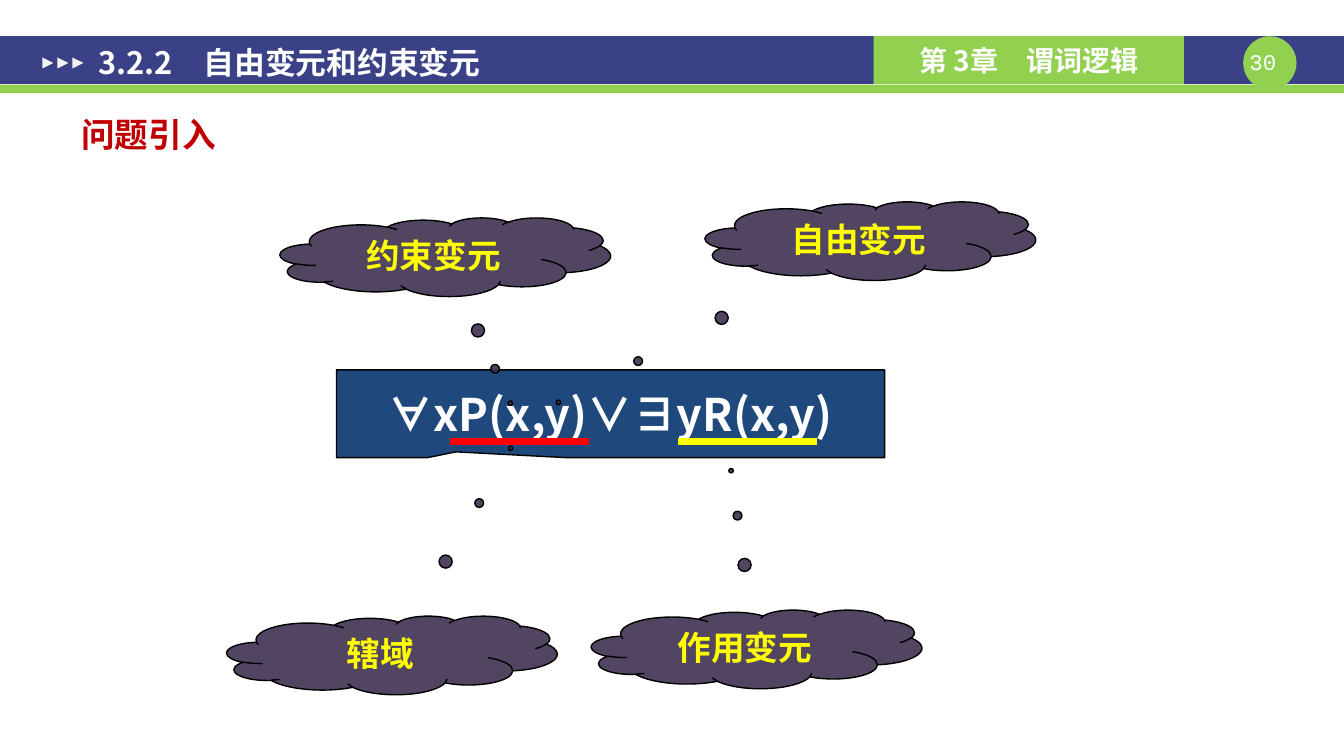
from dataclasses import dataclass
from typing import Any

from lxml.etree import SubElement
from pptx import Presentation
from pptx.dml.color import RGBColor
from pptx.enum.shapes import MSO_CONNECTOR, MSO_SHAPE
from pptx.enum.text import MSO_ANCHOR, PP_ALIGN
from pptx.oxml.ns import qn
from pptx.util import Inches, Pt

WIDE, HIGH = Inches(13.34), Inches(7.5)


@dataclass(frozen=True)
class Theme:
    navy: str = "3A4187"
    green: str = "92D050"
    blue: str = "1F497D"
    plum: str = "403152"
    yellow: str = "FFFF00"
    red: str = "FF0000"
    crimson: str = "C00000"
    white: str = "FFFFFF"
    pale: str = "F2F2F2"
    black: str = "000000"
    sans: str = "Noto Sans CJK SC"
    latin: str = "Arial"
    mono: str = "Courier New"
    page: int = 16
    label: int = 20
    title: int = 22
    body: int = 24
    logic: int = 32


@dataclass(frozen=True)
class Box:
    """A place in percent of the slide's width and height."""
    x: float
    y: float
    w: float
    h: float

    def frame(self) -> tuple[int, int, int, int]:
        return (int(WIDE * self.x / 100), int(HIGH * self.y / 100),
                int(WIDE * self.w / 100), int(HIGH * self.h / 100))


@dataclass(frozen=True)
class Cloud:
    """A thought cloud; the tail is its tip relative to the cloud's centre."""
    text: str
    x: float
    y: float
    tail: tuple[float, float]


@dataclass(frozen=True)
class Mark:
    x: float
    color: str


THEME = Theme()
BAND_TOP, BAND_HIGH = 4.8, 6.3
CLOUD_WIDE, CLOUD_HIGH = 24.59, 10.4
MARK_TOP, MARK_WIDE = 58.4, 10.34
CLOUDS = [
    Cloud("自由变元", 52.47, 26.67, (-0.944, 2.053)),
    Cloud("作用变元", 44, 80.67, (-0.077, -2.271)),
    Cloud("约束变元", 20.84, 28.8, (0.197, 1.859)),
    Cloud("辖域", 16.87, 81.47, (0.359, -2.632)),
]
MARKS = [Mark(33.51, THEME.red), Mark(50.45, THEME.yellow)]


def paint(color: str) -> RGBColor:
    return RGBColor.from_string(color)


def write(shape: Any, text: str, *, size: int, color: str = THEME.white,
          font: str = THEME.sans, bold: bool = True,
          align: PP_ALIGN = PP_ALIGN.CENTER,
          anchor: MSO_ANCHOR = MSO_ANCHOR.MIDDLE, wrap: bool = True,
          inset: tuple[float, float] = (0.1, 0.05)) -> None:
    frame = shape.text_frame
    frame.word_wrap = wrap
    frame.vertical_anchor = anchor
    frame.margin_left = frame.margin_right = Inches(inset[0])
    frame.margin_top = frame.margin_bottom = Inches(inset[1])
    para = frame.paragraphs[0]
    para.alignment = align
    run = para.add_run()
    run.text = text
    run.font.size = Pt(size)
    run.font.bold = bold
    run.font.name = font
    run.font.color.rgb = paint(color)
    SubElement(run._r.get_or_add_rPr(), qn("a:ea"), typeface=THEME.sans)


def draw(slide: Any, kind: MSO_SHAPE, box: Box, fill: str,
         line: str | None = None) -> Any:
    shape = slide.shapes.add_shape(kind, *box.frame())
    shape.shadow.inherit = False
    shape.fill.solid()
    shape.fill.fore_color.rgb = paint(fill)
    if line:
        shape.line.color.rgb = paint(line)
        shape.line.width = Pt(1)
    else:
        shape.line.fill.background()
    return shape


def aim(shape: Any, tail: tuple[float, float]) -> None:
    """Point a callout's tail."""
    for index, value in enumerate(tail):
        shape.adjustments[index] = value


def fade(shape: Any, share: int) -> None:
    """Set the fill's opacity in percent."""
    color = shape.fill._xPr.find(qn("a:solidFill"))[0]
    SubElement(color, qn("a:alpha"), val=str(share * 1000))


def draw_header(slide: Any) -> None:
    draw(slide, MSO_SHAPE.RECTANGLE, Box(0, BAND_TOP, 100, BAND_HIGH), THEME.navy)
    draw(slide, MSO_SHAPE.RECTANGLE, Box(0, 11.2, 100, 1.1), THEME.green)
    draw(slide, MSO_SHAPE.OVAL, Box(92.5, BAND_TOP, 3.97, 7.07), THEME.green)
    page = slide.shapes.add_textbox(*Box(91.98, 6.4, 3.97, 3.6).frame())
    write(page, "30", size=THEME.page, font=THEME.mono, bold=False,
          anchor=MSO_ANCHOR.TOP, inset=(0, 0))
    part = draw(slide, MSO_SHAPE.RECTANGLE,
                Box(65, BAND_TOP, 23.09, BAND_HIGH), THEME.green)
    write(part, "第 3章　谓词逻辑", size=THEME.label)
    for step in range(3):
        arrow = draw(slide, MSO_SHAPE.ISOSCELES_TRIANGLE,
                     Box(3.15 + 1.12 * step, 7.6, 0.82, 1.47), THEME.pale)
        arrow.rotation = 90


def draw_title(slide: Any) -> None:
    title = slide.shapes.title
    title.left, title.top, title.width, title.height = Box(
        6.37, 5.33, 43.48, 5.87).frame()
    write(title, "3.2.2　自由变元和约束变元", size=THEME.title,
          align=PP_ALIGN.LEFT, inset=(0.13, 0.07))
    slide.shapes._spTree.append(title._element)  # bring above the band


def draw_cloud(slide: Any, cloud: Cloud) -> None:
    shape = draw(slide, MSO_SHAPE.CLOUD_CALLOUT,
                 Box(cloud.x, cloud.y, CLOUD_WIDE, CLOUD_HIGH),
                 THEME.plum, THEME.black)
    aim(shape, cloud.tail)
    fade(shape, 90)
    write(shape, cloud.text, size=THEME.body, color=THEME.yellow,
          font=THEME.latin)


def draw_mark(slide: Any, mark: Mark) -> None:
    x, y, w, _ = Box(mark.x, MARK_TOP, MARK_WIDE, 0).frame()
    line = slide.shapes.add_connector(MSO_CONNECTOR.STRAIGHT, x, y, x + w, y)
    line.line.color.rgb = paint(mark.color)
    line.line.width = Pt(4.5)
    SubElement(line._element.spPr, qn("a:effectLst"))


def main() -> None:
    deck = Presentation()
    deck.slide_width, deck.slide_height = WIDE, HIGH
    slide = deck.slides.add_slide(deck.slide_layouts[5])
    draw_header(slide)
    draw_title(slide)
    logic = draw(slide, MSO_SHAPE.RECTANGULAR_CALLOUT,
                 Box(25.04, 48.93, 40.78, 11.6), THEME.blue, THEME.black)
    aim(logic, (-0.282, 0.435))
    write(logic, "∀xP(x,y)∨∃yR(x,y)", size=THEME.logic)
    for cloud in CLOUDS:
        draw_cloud(slide, cloud)
    for mark in MARKS:
        draw_mark(slide, mark)
    lead = slide.shapes.add_textbox(*Box(5.32, 14.4, 11.62, 6.67).frame())
    write(lead, "问题引入", size=THEME.body, color=THEME.crimson,
          align=PP_ALIGN.LEFT, anchor=MSO_ANCHOR.TOP, wrap=False)
    deck.save("out.pptx")


if __name__ == "__main__":
    main()
